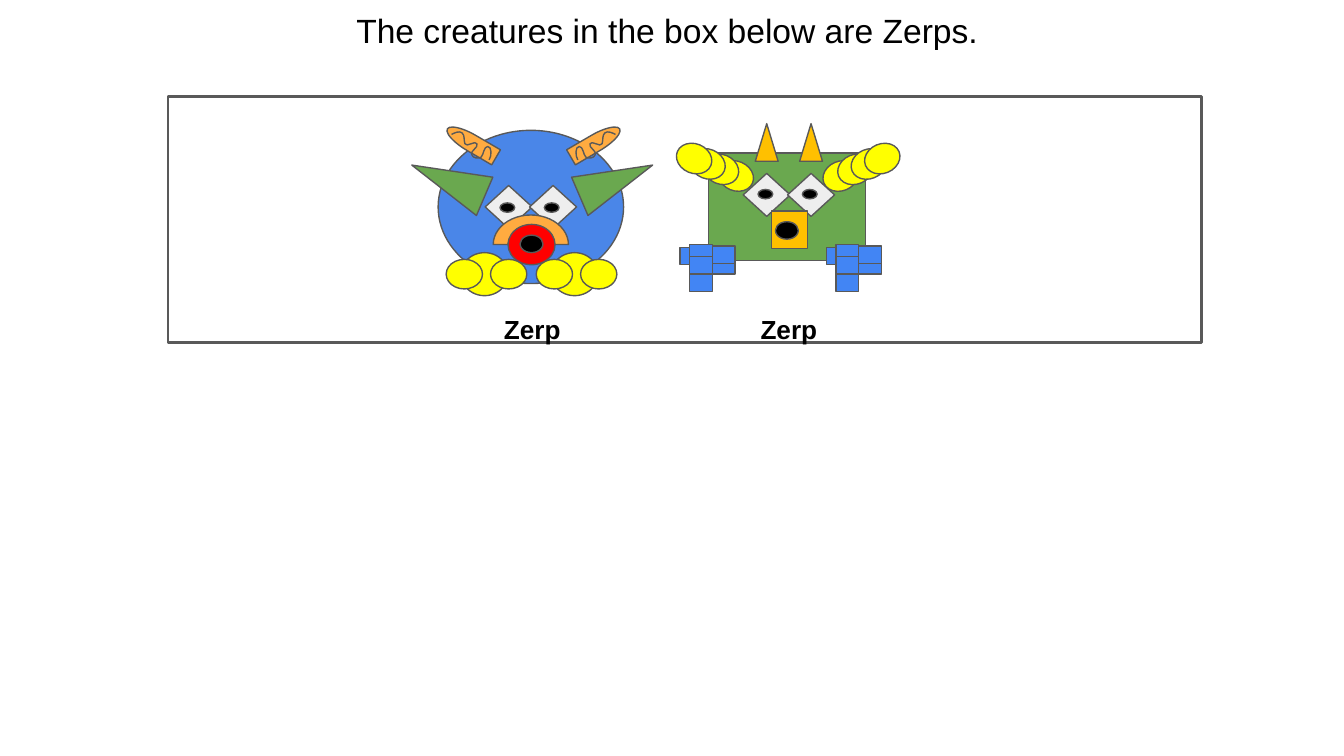
from lxml import etree
from pptx import Presentation
from pptx.dml.color import RGBColor
from pptx.enum.shapes import MSO_SHAPE
from pptx.enum.text import MSO_AUTO_SIZE, PP_ALIGN
from pptx.oxml.ns import qn
from pptx.util import Emu, Pt

RECT = MSO_SHAPE.RECTANGLE
OVAL = MSO_SHAPE.OVAL
SPIKE = MSO_SHAPE.ISOSCELES_TRIANGLE
GEM = MSO_SHAPE.DIAMOND
ARC = MSO_SHAPE.BLOCK_ARC
HORN = MSO_SHAPE.FLOWCHART_DELAY
CENTER = PP_ALIGN.CENTER
GROW = MSO_AUTO_SIZE.SHAPE_TO_FIT_TEXT

SCALE = 9144
WIDE = 1000
EDGE, BLACK, WHITE = "595959", "000000", "EEEEEE"
BLUE, GREEN, YELLOW = "4A86E8", "6AA84F", "FFFF00"
ORANGE, GOLD, RED, SKY = "FFAB40", "FFC000", "FF0000", "4285F4"
WAVE = [(430, 119), (428, 116), (428, 109), (431, 109), (434, 109),
        (434, 115), (436, 117), (438, 118), (442, 118), (443, 115),
        (444, 112), (438, 110), (439, 107), (440, 104), (447, 110),
        (448, 107), (449, 104), (448, 101), (450, 99), (452, 97),
        (456, 99), (458, 100)]
ROUND_SUM, SQUARE_SUM = 794, 1173


def px(n):
    """Turn px into EMU."""
    return Emu(n * SCALE)


def tint(code):
    """Turn a hex string into a colour."""
    return RGBColor.from_string(code)


def style(shape, fill, width=0.75):
    """Set fill, outline and shadow of a shape."""
    shape.shadow.inherit = False
    if fill:
        shape.fill.solid()
        shape.fill.fore_color.rgb = tint(fill)
    else:
        shape.fill.background()
    shape.line.color.rgb = tint(EDGE)
    shape.line.width = Pt(width)


def part(slide, kind, box, fill, turn=0, width=0.75):
    """Add one preset shape."""
    shape = slide.shapes.add_shape(kind, *map(px, box))
    style(shape, fill, width)
    shape.rotation = turn
    return shape


def pair(slide, kind, box, fill, turn, total):
    """Add a right part and its mirrored left part."""
    left, top, wide, high = box
    part(slide, kind, box, fill, turn)
    twin = part(slide, kind, (total - left - wide, top, wide, high), fill, 360 - turn)
    twin._element.spPr.xfrm.set("flipH", "1")


def curve(slide, points):
    """Add an open line of cubic curves."""
    first, *rest = points
    maker = slide.shapes.build_freeform(*first, scale=SCALE)
    maker.add_line_segments(rest, close=False)
    shape = maker.convert_to_shape()
    style(shape, None)
    route = shape._element.xpath(".//a:path")[0]
    lines = route.findall(qn("a:lnTo"))
    for i in range(0, len(lines), 3):
        bend = etree.SubElement(route, qn("a:cubicBezTo"))
        for line in lines[i:i + 3]:
            bend.append(line[0])
            route.remove(line)


def label(slide, box, text, size, bold=False):
    """Add a centred line of text."""
    frame = slide.shapes.add_textbox(*map(px, box)).text_frame
    frame.word_wrap = True
    frame.auto_size = GROW
    frame.margin_left = frame.margin_right = px(10)
    frame.margin_top = frame.margin_bottom = px(10)
    para = frame.paragraphs[0]
    para.alignment = CENTER
    para.line_spacing = 1.15
    run = para.add_run()
    run.text = text
    run.font.name = "Arial"
    run.font.size = Pt(size)
    run.font.bold = bold
    run.font.color.rgb = tint(BLACK)


def eyes(slide, left, top, drop):
    """Add two eyes side by side."""
    for x in (left, left + 33):
        part(slide, GEM, (x, top, 35, 32), WHITE)
        part(slide, OVAL, (x + 11, top + drop, 11, 7), BLACK)


def foot(slide, left):
    """Add a foot of three ovals."""
    part(slide, OVAL, (left, 188, 35, 32), YELLOW)
    for x in (left + 22, left - 11):
        part(slide, OVAL, (x, 193, 27, 22), YELLOW)


def hand(slide, left):
    """Add a hand of six blocks."""
    spots = [(-7, 184), (0, 182), (0, 191), (17, 191), (0, 204), (17, 183)]
    for x, top in spots:
        part(slide, RECT, (left + x, top, 17, 13), SKY)


def round_zerp(slide):
    """Draw the round creature."""
    part(slide, OVAL, (326, 97, 138, 114), BLUE)
    pair(slide, SPIKE, (443, 105, 31, 59), GREEN, 66.8, 792)
    for left in (343, 410):
        foot(slide, left)
    eyes(slide, 361, 138, 13)
    lip = part(slide, ARC, (367, 160, 56, 44), ORANGE)
    for i, value in enumerate((108, 0, 0.25)):
        lip.adjustments[i] = value
    part(slide, OVAL, (378, 167, 35, 30), RED)
    part(slide, OVAL, (387, 175, 17, 13), BLACK)
    pair(slide, HORN, (422, 100, 42, 13), ORANGE, 329.7, ROUND_SUM)
    curve(slide, WAVE)
    curve(slide, [(ROUND_SUM - x, y) for x, y in WAVE])


def square_zerp(slide):
    """Draw the square creature."""
    part(slide, RECT, (527, 114, 117, 80), GREEN)
    for left, top in ((612, 120), (623, 115), (633, 111), (643, 107)):
        pair(slide, OVAL, (left, top, 27, 22), YELLOW, 337.5, SQUARE_SUM)
    for left in (562, 595):
        part(slide, SPIKE, (left, 92, 17, 28), GOLD)
    eyes(slide, 553, 129, 12)
    part(slide, RECT, (574, 157, 27, 28), GOLD)
    part(slide, OVAL, (577, 165, 17, 13), BLACK)
    for left in (622, 513):
        hand(slide, left)


def main():
    """Build the slide and save it."""
    deck = Presentation()
    deck.slide_width, deck.slide_height = px(WIDE), px(WIDE * 9 / 16)
    slide = deck.slides.add_slide(deck.slide_layouts[6])
    part(slide, RECT, (125, 72, 769, 183), None, width=1.5)
    label(slide, (297, 220, 198, 44), "Zerp", 14, True)
    label(slide, (0, -7, WIDE, 50), "The creatures in the box below are Zerps. ", 18)
    label(slide, (488, 220, 198, 44), "Zerp", 14, True)
    round_zerp(slide)
    square_zerp(slide)
    deck.save("out.pptx")


if __name__ == "__main__":
    main()
